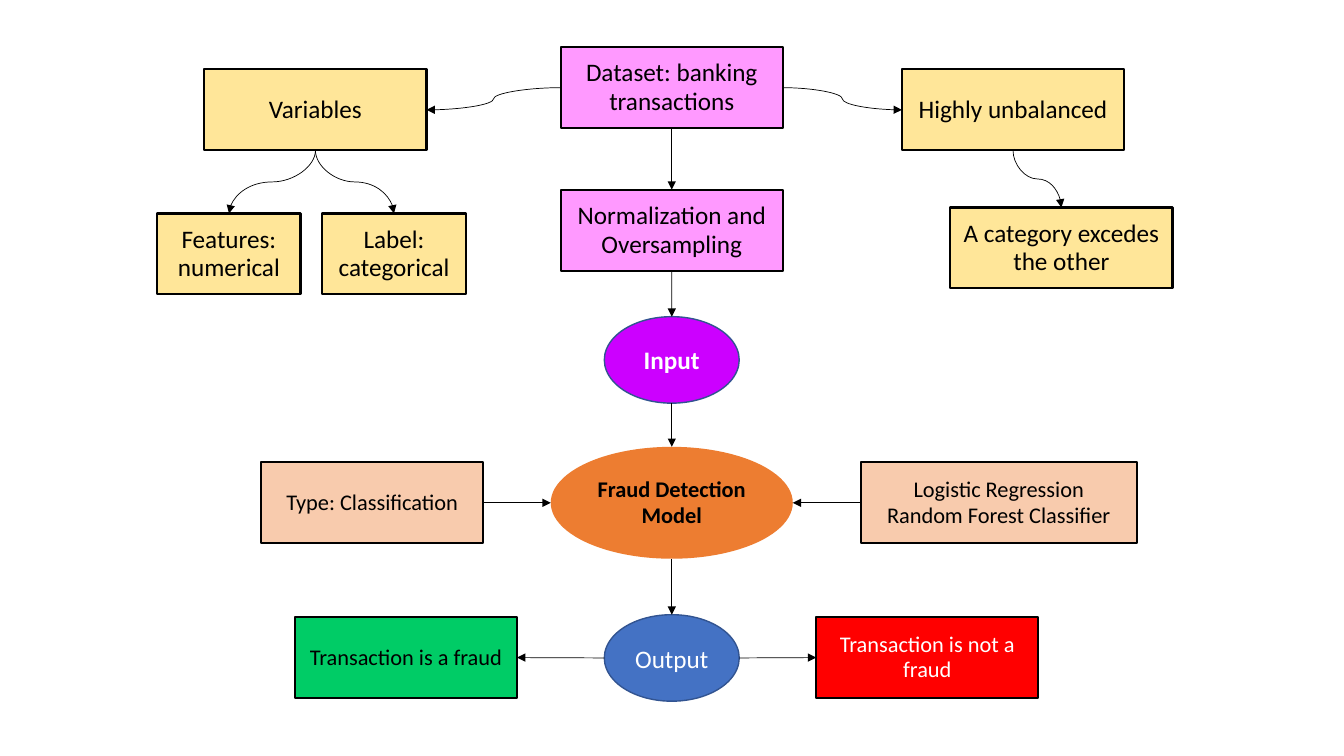
from dataclasses import dataclass

import pptx
import pptx.dml.color
import pptx.enum.shapes
import pptx.enum.text
import pptx.oxml
import pptx.oxml.ns
import pptx.util

Cm = pptx.util.Cm
Pt = pptx.util.Pt
RECTANGLE = pptx.enum.shapes.MSO_SHAPE.RECTANGLE
ELLIPSE = pptx.enum.shapes.MSO_SHAPE.OVAL
STRAIGHT = pptx.enum.shapes.MSO_CONNECTOR.STRAIGHT
CURVE = pptx.enum.shapes.MSO_CONNECTOR.CURVE
TOP, LEFT, BOTTOM, RIGHT = range(4)


@dataclass(frozen=True)
class Theme:
    font: str = "Calibri"
    large: int = 18
    small: int = 16
    black: str = "000000"
    white: str = "FFFFFF"
    data: str = "FF99FF"
    detail: str = "FFE699"
    method: str = "F8CBAD"
    model: str = "ED7D31"
    input: str = "CC00FF"
    output: str = "4472C4"
    ellipse_outline: str = "325491"
    fraud: str = "00CC66"
    no_fraud: str = "FF0000"


THEME = Theme()
BOX_WIDTH, BOX_HEIGHT = 5.6, 2.04
TRUNK = 16.93  # centre of the main column


def rgb(value):
    return pptx.dml.color.RGBColor.from_string(value)


def add_node(slide, kind, text, centre, size, fill, outline, line_width,
             text_size, color=THEME.black, bold=False):
    """Add a labelled shape; centre and size are in centimetres."""
    (x, y), (width, height) = centre, size
    node = slide.shapes.add_shape(kind, Cm(x - width / 2), Cm(y - height / 2),
                                  Cm(width), Cm(height))
    node.shadow.inherit = False
    node.fill.solid()
    node.fill.fore_color.rgb = rgb(fill)
    if outline:
        node.line.color.rgb = rgb(outline)
        node.line.width = Pt(line_width)
    else:
        node.line.fill.background()
    frame = node.text_frame
    frame.word_wrap = True
    frame.vertical_anchor = pptx.enum.text.MSO_ANCHOR.MIDDLE
    frame.text = text
    for paragraph in frame.paragraphs:
        paragraph.alignment = pptx.enum.text.PP_ALIGN.CENTER
        paragraph.font.name = THEME.font
        paragraph.font.size = Pt(text_size)
        paragraph.font.bold = bold
        paragraph.font.color.rgb = rgb(color)
    return node


def tighten(node):
    """Set equal insets and slightly closer lines."""
    frame = node.text_frame
    frame.margin_top = frame.margin_bottom = Cm(0.25)
    for paragraph in frame.paragraphs:
        paragraph.line_spacing = 0.95


def add_box(slide, text, x, y, fill, text_size=THEME.large, width=BOX_WIDTH,
            color=THEME.black):
    box = add_node(slide, RECTANGLE, text, (x, y), (width, BOX_HEIGHT), fill,
                   THEME.black, 1.5, text_size, color)
    tighten(box)
    return box


def add_stage(slide, text, y, fill, bold=False):
    """Add a small ellipse on the main column."""
    return add_node(slide, ELLIPSE, text, (TRUNK, y), (3.4, 2.18), fill,
                    THEME.ellipse_outline, 1, THEME.large, THEME.white, bold)


def side_middle(node, side):
    x = node.left + {LEFT: 0, RIGHT: node.width}.get(side, node.width // 2)
    y = node.top + {TOP: 0, BOTTOM: node.height}.get(side, node.height // 2)
    return x, y


def style_arrow(arrow):
    arrow.line.color.rgb = rgb(THEME.black)
    arrow.line.width = Pt(0.5)
    line = arrow.line._get_or_add_ln()
    head = pptx.oxml.parse_xml(
        f'<a:tailEnd {pptx.oxml.ns.nsdecls("a")} type="triangle"/>')
    line.append(head)
    effects = pptx.oxml.parse_xml(
        f'<a:effectLst {pptx.oxml.ns.nsdecls("a")}/>')
    line.addnext(effects)


def add_straight_arrow(slide, start, start_side, end, end_side):
    arrow = slide.shapes.add_connector(
        STRAIGHT, *side_middle(start, start_side), *side_middle(end, end_side))
    if start.auto_shape_type == RECTANGLE:
        arrow.begin_connect(start, start_side)
    if end.auto_shape_type == RECTANGLE:
        arrow.end_connect(end, end_side)
    style_arrow(arrow)


def add_sideways_curve(slide, start, start_side, end, end_side):
    style_arrow(slide.shapes.add_connector(
        CURVE, *side_middle(start, start_side), *side_middle(end, end_side)))


def add_downward_curve(slide, start, end):
    """Join bottom to top with a curve turned a quarter about its centre."""
    x1, y1 = side_middle(start, BOTTOM)
    x2, y2 = side_middle(end, TOP)
    turn = 1 if x2 < x1 else -1
    middle_x, middle_y = (x1 + x2) // 2, (y1 + y2) // 2
    half_drop, half_run = (y2 - y1) // 2, abs(x2 - x1) // 2
    curve = slide.shapes.add_connector(
        CURVE, middle_x - turn * half_drop, middle_y - half_run,
        middle_x + turn * half_drop, middle_y + half_run)
    frame = curve._element.spPr.find(pptx.oxml.ns.qn("a:xfrm"))
    frame.set("rot", str(turn * 90 % 360 * 60000))
    style_arrow(curve)


def main():
    deck = pptx.Presentation()
    deck.slide_width, deck.slide_height = Cm(33.87), Cm(19.05)
    slide = deck.slides.add_slide(deck.slide_layouts[6])
    small = THEME.small

    dataset = add_box(slide, "Dataset: banking transactions", TRUNK, 2.21, THEME.data)
    preparation = add_box(slide, "Normalization and Oversampling", TRUNK, 5.8, THEME.data)
    variables = add_box(slide, "Variables", 7.95, 2.77, THEME.detail)
    features = add_box(slide, "Features: numerical", 5.77, 6.4, THEME.detail, width=3.61)
    label = add_box(slide, "Label: categorical", 9.93, 6.4, THEME.detail, width=3.61)
    unbalanced = add_box(slide, "Highly unbalanced", 25.53, 2.77, THEME.detail)
    excess = add_box(slide, "A category excedes the other", 26.75, 6.25, THEME.detail)

    model_input = add_stage(slide, "Input", 9.07, THEME.input, bold=True)
    model = add_node(slide, ELLIPSE, "Fraud Detection Model", (TRUNK, 12.67),
                     (6.1, 2.82), THEME.model, None, 0, small, bold=True)
    tighten(model)
    task = add_box(slide, "Type: Classification", 9.38, 12.67, THEME.method, small)
    algorithms = add_box(slide, "Logistic Regression\nRandom Forest Classifier",
                         25.17, 12.67, THEME.method, small, width=6.96)
    output = add_stage(slide, "Output", 16.58, THEME.output)
    fraud = add_box(slide, "Transaction is a fraud", 10.23, 16.57, THEME.fraud, small)
    no_fraud = add_box(slide, "Transaction is not a fraud", 23.37, 16.57,
                       THEME.no_fraud, small, color=THEME.white)

    trunk = [dataset, preparation, model_input, model, output]
    for upper, lower in zip(trunk, trunk[1:]):
        add_straight_arrow(slide, upper, BOTTOM, lower, TOP)
    add_straight_arrow(slide, task, RIGHT, model, LEFT)
    add_straight_arrow(slide, algorithms, LEFT, model, RIGHT)
    add_straight_arrow(slide, output, LEFT, fraud, RIGHT)
    add_straight_arrow(slide, output, RIGHT, no_fraud, LEFT)

    add_sideways_curve(slide, dataset, LEFT, variables, RIGHT)
    add_sideways_curve(slide, dataset, RIGHT, unbalanced, LEFT)
    for parent, child in ((variables, features), (variables, label),
                          (unbalanced, excess)):
        add_downward_curve(slide, parent, child)

    deck.save("out.pptx")


if __name__ == "__main__":
    main()
